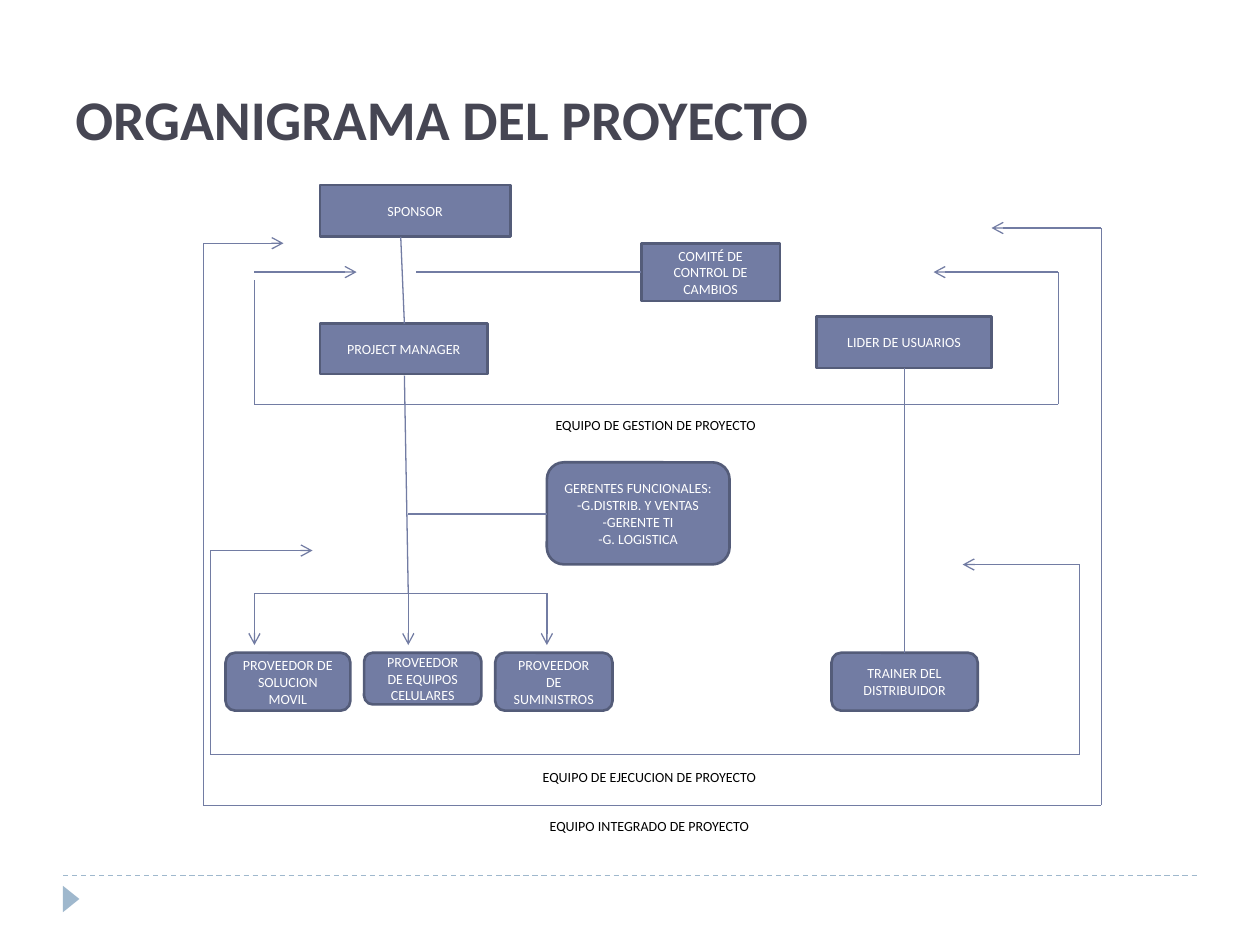
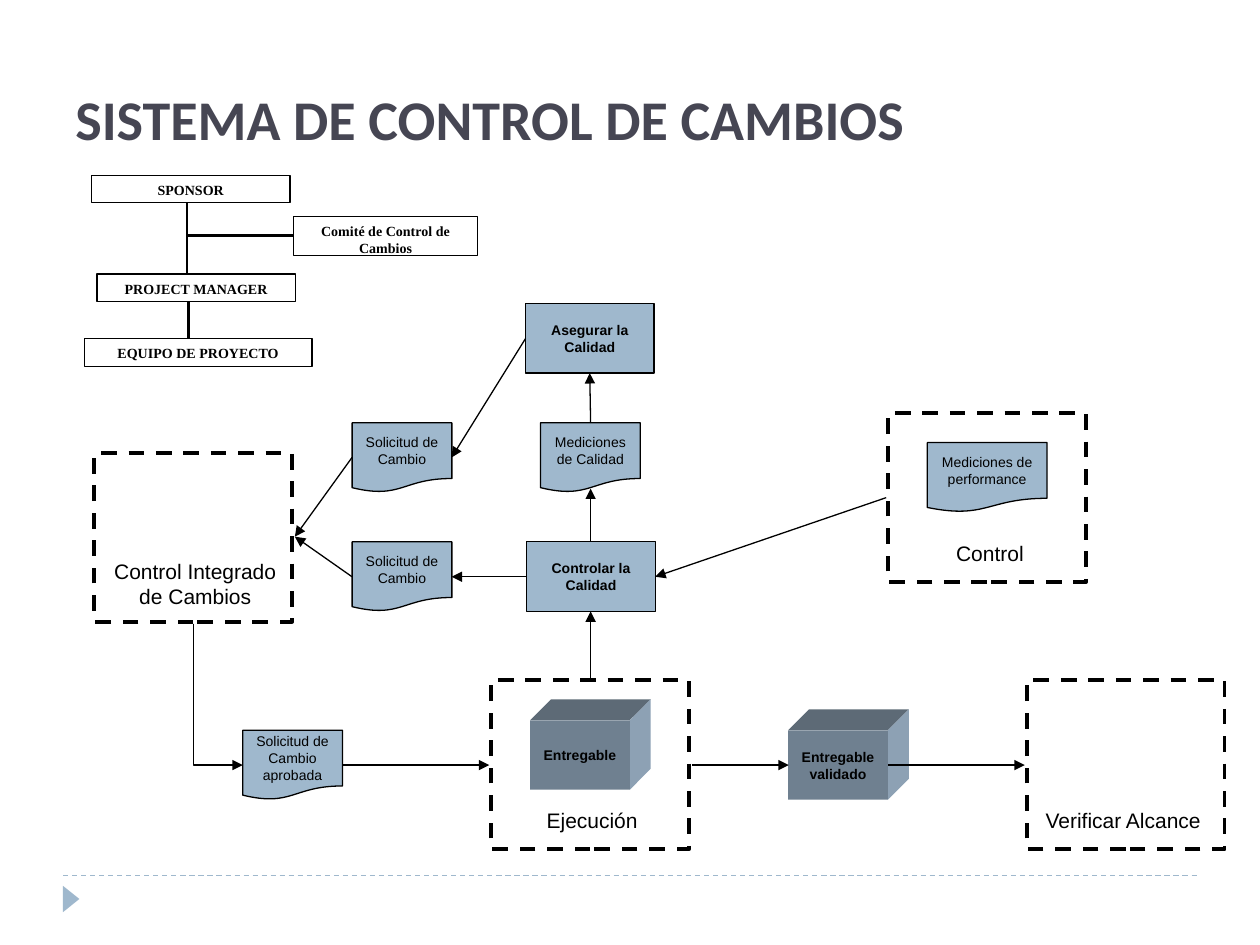
from dataclasses import dataclass
from lxml.etree import SubElement
from pptx import Presentation
from pptx.dml.color import RGBColor
from pptx.enum.dml import MSO_LINE
from pptx.enum.shapes import MSO_CONNECTOR, MSO_SHAPE
from pptx.enum.text import MSO_ANCHOR, PP_ALIGN
from pptx.oxml.ns import qn
from pptx.util import Pt


@dataclass(frozen=True)
class Theme:
    title: str = "464653"
    indigo: str = "727CA3"
    indigo_edge: str = "545C79"
    sky: str = "9FB8CD"
    cube_front: str = "6F8090"
    cube_top: str = "5D6A76"
    cube_side: str = "8DA1B4"
    ink: str = "000000"
    paper: str = "FFFFFF"
    title_size: float = 32
    stage_size: float = 12
    label_size: float = 8
    thin: float = 0.75
    branch: float = 1.25
    edge: float = 1.5
    thick: float = 2.25


THEME = Theme()


def font(name, size, color, bold=False):
    return {"values": {"name": name, "size": Pt(size), "bold": bold}, "color": color}


TITLE = font("Calibri", THEME.title_size, THEME.title, True)
ROLE = font("Calibri", THEME.label_size, THEME.paper)
TEAM = font("Calibri", THEME.label_size, THEME.ink)
CHART = font("Times New Roman", THEME.label_size, THEME.ink, True)
PROCESS = font("Arial", THEME.label_size, THEME.ink, True)
DOCUMENT = font("Arial", THEME.label_size, THEME.ink)
STAGE = font("Arial", THEME.stage_size, THEME.ink)


def write(shape, text, style, align=PP_ALIGN.CENTER, anchor=MSO_ANCHOR.MIDDLE, wrap=True):
    frame = shape.text_frame
    for name, value in {"word_wrap": wrap, "vertical_anchor": anchor}.items():
        setattr(frame, name, value)
    for index, line in enumerate(text.split("\n")):
        para = frame.add_paragraph() if index else frame.paragraphs[0]
        para.alignment = align
        span = para.add_run()
        span.text = line
        for name, value in style["values"].items():
            setattr(span.font, name, value)
        span.font.color.rgb = RGBColor.from_string(style["color"])


def paint(shape, fill=None, line=None, weight=THEME.thin, dash=None):
    shape.shadow.inherit = False
    if fill:
        shape.fill.solid()
        shape.fill.fore_color.rgb = RGBColor.from_string(fill)
    else:
        shape.fill.background()
    if line:
        shape.line.color.rgb = RGBColor.from_string(line)
        for name, value in {"width": Pt(weight), "dash_style": dash}.items():
            setattr(shape.line, name, value)
    else:
        shape.line.fill.background()


def add_box(page, kind, place, **look):
    box = page.shapes.add_shape(kind, *map(Pt, place))
    paint(box, **look)
    return box


def add_label(page, place, text, style, **layout):
    label = page.shapes.add_textbox(*map(Pt, place))
    write(label, text, style, **layout)


def finish_line(connector, color, weight, arrow=None, dash=None):
    connector.line.color.rgb = RGBColor.from_string(color)
    for name, value in {"width": Pt(weight), "dash_style": dash}.items():
        setattr(connector.line, name, value)
    if arrow:
        SubElement(connector.line._get_or_add_ln(), qn("a:tailEnd"), type=arrow)
    SubElement(connector._element.spPr, qn("a:effectLst"))


def add_line(page, start, end, color=THEME.ink, weight=THEME.thin, arrow=None, dash=None):
    connector = page.shapes.add_connector(MSO_CONNECTOR.STRAIGHT, *map(Pt, start + end))
    finish_line(connector, color, weight, arrow, dash)


def add_down_right_elbow(page, start, end):
    middle_x, middle_y = (start[0] + end[0]) / 2, (start[1] + end[1]) / 2
    half_x, half_y = (end[0] - start[0]) / 2, (end[1] - start[1]) / 2
    corners = (middle_x + half_y, middle_y - half_x, middle_x - half_y, middle_y + half_x)
    connector = page.shapes.add_connector(MSO_CONNECTOR.ELBOW, *map(Pt, corners))
    properties = connector._element.spPr
    properties.find(qn("a:xfrm")).set("rot", "16200000")
    properties.find(qn("a:prstGeom")).set("prst", "bentConnector2")
    finish_line(connector, THEME.ink, THEME.thin, "triangle")


def add_page(deck, title):
    page = deck.slides.add_slide(deck.slide_layouts[6])
    add_line(page, (36, 500.4), (684, 500.4), THEME.sky, dash=MSO_LINE.DASH)
    marker = add_box(page, MSO_SHAPE.ISOSCELES_TRIANGLE, (33.1, 509, 15.1, 9.4), fill=THEME.sky)
    marker.rotation = 90
    add_label(page, (36, 12.2, 648, 77.8), title, TITLE, align=PP_ALIGN.LEFT,
              anchor=MSO_ANCHOR.BOTTOM)
    return page


def add_role(page, kind, place, text):
    box = add_box(page, kind, place, fill=THEME.indigo, line=THEME.indigo_edge,
                  weight=THEME.edge)
    write(box, text, ROLE)


def add_bracket(page, bottom, left, right, gap=0):
    add_line(page, (left[0], bottom), (right[0], bottom), THEME.indigo)
    for (side, top, tip), space in ((left, gap), (right, 0)):
        add_line(page, (side, bottom), (side, top + space), THEME.indigo)
        add_line(page, (side, top), (tip, top), THEME.indigo, arrow="arrow")


def add_cube(page, place, text, depth=12):
    left, top, width, height = place
    right, bottom = left + width, top + height
    faces = (
        (THEME.cube_top, [(left, top), (left + depth, top - depth),
                          (right + depth, top - depth), (right, top)]),
        (THEME.cube_side, [(right, top), (right + depth, top - depth),
                           (right + depth, bottom - depth), (right, bottom)]),
    )
    for color, corners in faces:
        points = [(Pt(x), Pt(y)) for x, y in corners]
        builder = page.shapes.build_freeform(*points[0])
        builder.add_line_segments(points[1:], close=True)
        paint(builder.convert_to_shape(), fill=color)
    write(add_box(page, MSO_SHAPE.RECTANGLE, place, fill=THEME.cube_front), text, PROCESS)


def build_organization(deck):
    page = add_page(deck, "ORGANIGRAMA DEL PROYECTO")
    for place, text in (
        ((182.9, 105.8, 108.7, 29.5), "SPONSOR"),
        ((182.9, 185, 95.8, 28.8), "PROJECT MANAGER"),
        ((366.5, 139, 79.2, 33.1), "COMITÉ DE CONTROL DE CAMBIOS"),
        ((466.6, 180.7, 100.1, 29.5), "LIDER DE USUARIOS"),
    ):
        add_role(page, MSO_SHAPE.RECTANGLE, place, text)
    supplier_top = 373
    for place, text in (
        ((475.2, supplier_top, 83.5, 33.1), "TRAINER DEL DISTRIBUIDOR"),
        ((128.9, supplier_top, 71.3, 33.1), "PROVEEDOR DE SOLUCION MOVIL"),
        ((208.1, supplier_top, 67, 29.5), "PROVEEDOR DE EQUIPOS CELULARES"),
        ((283, supplier_top, 67, 33.1), "PROVEEDOR DE SUMINISTROS"),
        ((312.5, 264.2, 104.4, 58.3),
         "GERENTES FUNCIONALES:\n-G.DISTRIB. Y VENTAS\n-GERENTE TI\n-G. LOGISTICA"),
    ):
        add_role(page, MSO_SHAPE.ROUNDED_RECTANGLE, place, text)
    supplier_bar = 339.1
    for start, end in (
        ((366.5, 155.5), (237.6, 155.5)),
        ((231.1, 185), (229, 126.7 + 8.6)),
        ((231.1, 214.6), (233.3, supplier_bar)),
        ((145.4, supplier_bar), (312.5, supplier_bar)),
        ((312.5, 293.8), (233.3, 293.8)),
        ((517, 210.2), (517, supplier_top)),
    ):
        add_line(page, start, end, THEME.indigo)
    for x in (145.4, 233.3, 312.5):
        add_line(page, (x, supplier_bar), (x, 368.6), THEME.indigo, arrow="arrow")
    add_bracket(page, 231.1, (145.4, 155.5, 203.8), (604.8, 155.5, 533.5), gap=4.3)
    add_bracket(page, 431.3, (120.2, 314.6, 178.6), (617, 322.6, 550.1))
    add_bracket(page, 460.1, (116.3, 139, 162), (629.3, 130.3, 566.6))
    for left, top, text in (
        (241.2, 234.7, "EQUIPO DE GESTION DE PROYECTO"),
        (237.6, 435.6, "EQUIPO DE EJECUCION DE PROYECTO"),
        (237.6, 463.7, "EQUIPO INTEGRADO DE PROYECTO"),
    ):
        add_label(page, (left, top, 267.1, 16.6), text, TEAM, anchor=MSO_ANCHOR.TOP)


def add_small_chart(page):
    for place, text in (
        ((52.3, 100.1, 113.5, 15.8), "SPONSOR"),
        ((55.4, 156.5, 113.5, 15.8), "PROJECT MANAGER"),
        ((48.2, 193.5, 130.2, 15.8), "EQUIPO DE PROYECTO"),
        ((167.7, 123.8, 105.3, 22.3), "Comité de Control de Cambios"),
    ):
        box = add_box(page, MSO_SHAPE.RECTANGLE, place, fill=THEME.paper, line=THEME.ink)
        write(box, text, CHART, anchor=MSO_ANCHOR.TOP)
    for start, end in (
        ((107, 115.9), (107, 156.7)),
        ((107.7, 172.1), (107.7, 193.7)),
        ((106.8, 134.6), (167.7, 134.6)),
    ):
        add_line(page, start, end, weight=THEME.branch)


def build_change_control(deck):
    page = add_page(deck, "SISTEMA DE CONTROL DE CAMBIOS")
    add_small_chart(page)
    for left, top, text in (
        (301, 309.6, "Controlar la Calidad"),
        (300.3, 173.5, "Asegurar la Calidad"),
    ):
        box = add_box(page, MSO_SHAPE.RECTANGLE, (left, top, 73.5, 39.7),
                      fill=THEME.sky, line=THEME.ink)
        write(box, text, PROCESS)
    add_cube(page, (302.9, 411.6, 57, 39.7), "Entregable")
    add_cube(page, (450.4, 417.3, 57, 39.7), "Entregable\nvalidado".replace("\n", " "))
    for left, top in ((280.8, 388.8), (586.8, 388.8), (507.6, 236.2), (54, 258.8)):
        add_box(page, MSO_SHAPE.RECTANGLE, (left, top, 113, 96.5), line=THEME.ink,
                weight=THEME.thick, dash=MSO_LINE.DASH)
    for place, text in (
        ((305.3, 457.9, 66.2, 21.6), "Ejecución"),
        ((590.4, 457.9, 104.4, 21.6), "Verificar Alcance"),
        ((539.3, 305.3, 53.3, 21.6), "Control"),
    ):
        add_label(page, place, text, STAGE, align=PP_ALIGN.LEFT, anchor=MSO_ANCHOR.TOP,
                  wrap=False)
    add_label(page, (54, 315.4, 115.2, 36), "Control Integrado\nde Cambios", STAGE,
              anchor=MSO_ANCHOR.TOP)
    for left, top, width, text in (
        (201.2, 241.6, 57, "Solicitud de Cambio"),
        (201.2, 309.6, 57, "Solicitud de Cambio"),
        (138.7, 417.3, 57, "Solicitud de Cambio\naprobada"),
        (308.9, 241.6, 57, "Mediciones\nde Calidad"),
        (529.9, 252.9, 68.4, "Mediciones de performance"),
    ):
        box = add_box(page, MSO_SHAPE.FLOWCHART_DOCUMENT, (left, top, width, 39.7),
                      fill=THEME.sky, line=THEME.ink)
        write(box, text, DOCUMENT)
    flow = 437.2
    change_gate = (168.5, 306.7)
    for start, end in (
        ((395.3, flow), (450.7, flow)),
        ((507.6, flow), (585.6, flow)),
        ((195.8, flow), (279.6, flow)),
        ((201.2, 261.4), change_gate),
        ((201.2, 329.6), change_gate),
        ((337.5, 388.2), (337.5, 349.4)),
        ((337.5, 309.6), (337.5, 279.2)),
        ((337.5, 241.6), (337, 213.2)),
        ((301, 329.6), (258.1, 329.6)),
        ((300.3, 193.5), (258.1, 261.4)),
        ((506.4, 284.4), (374.4, 329.6)),
    ):
        add_line(page, start, end, arrow="triangle")
    add_down_right_elbow(page, (110.6, 356.4), (138.7, flow))


def main():
    deck = Presentation()
    for name, value in {"slide_width": Pt(720), "slide_height": Pt(540)}.items():
        setattr(deck, name, value)
    build_organization(deck)
    build_change_control(deck)
    deck.save("out.pptx")


main()
